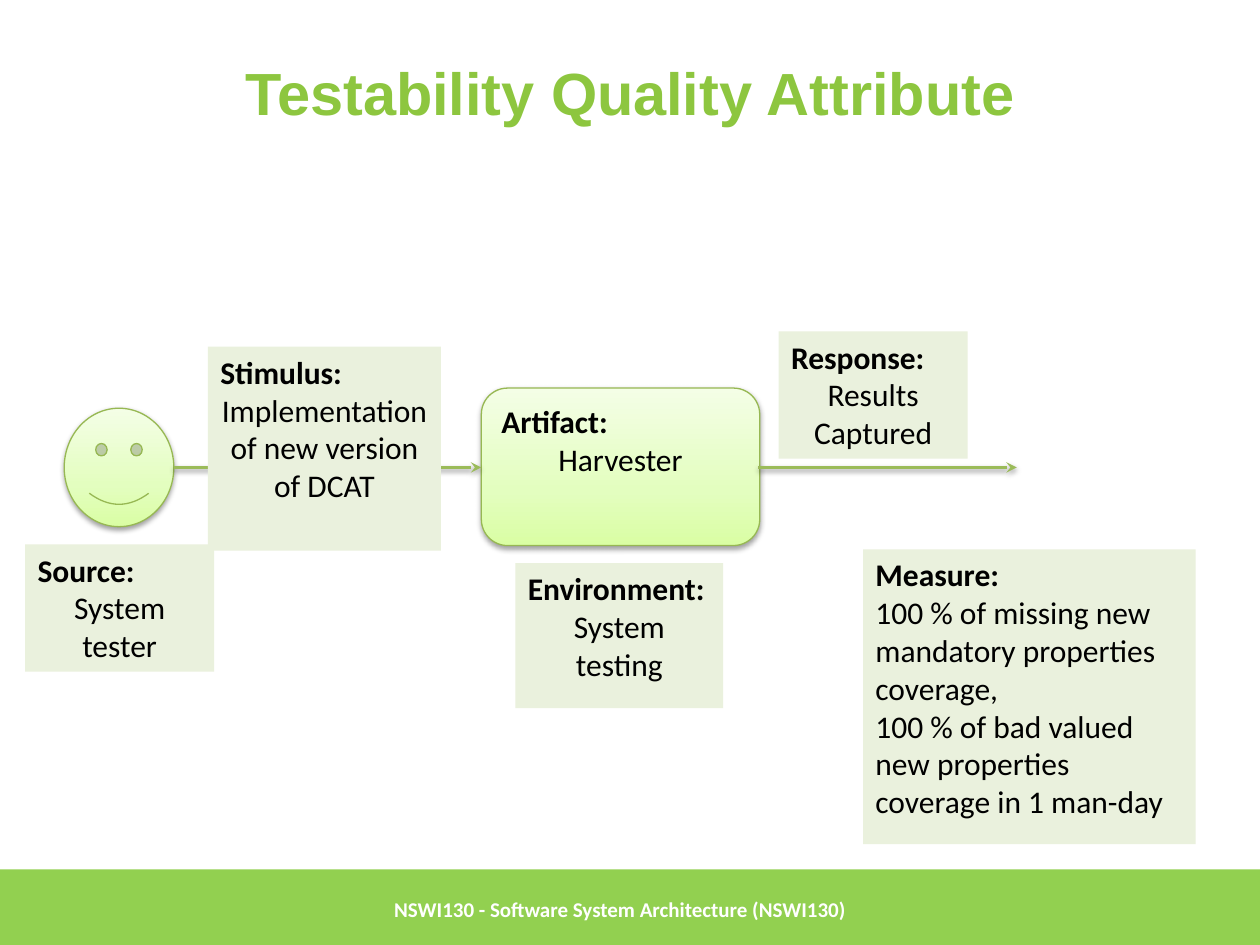
from lxml import etree
from pptx import Presentation
from pptx import util as u
from pptx.dml.color import RGBColor
from pptx.enum import shapes, text
from pptx.oxml.ns import qn

WIDTH, HEIGHT = 10, 7.5
FLOW_Y = 3.71  # shared centre line of tester, artifact and arrows
BAR_TOP, BAR_HEIGHT = 6.9, 0.63
GREEN, PALE, EDGE, ARROW = "92D050", "EAF1DD", "97B853", "9BBB59"
GLOW = [(0, "DAFEA4"), (35, "E3FEBF"), (100, "F4FEE6")]


def color(value):
    return RGBColor.from_string(value)


def inches(*lengths):
    return [u.Inches(length) for length in lengths]


def add_node(parent, tag, **attributes):
    node = etree.SubElement(parent, qn(tag))
    for name, value in attributes.items():
        node.set(name, str(value))
    return node


def add_color(parent, value):
    return add_node(parent, "a:srgbClr", val=value)


def add_shadow(part):
    """Soft shadow straight below a shape or an arrow."""
    properties = part.element.spPr
    effects = properties.find(qn("a:effectLst"))
    if effects is None:
        effects = add_node(properties, "a:effectLst")
    shadow = add_node(effects, "a:outerShdw", blurRad=u.Pt(3.1), dist=u.Pt(1.6),
                      dir=90 * 60000, rotWithShape=0)
    add_node(add_color(shadow, "000000"), "a:alpha", val=37000)


def add_block(slide, box, fill=None, preset=shapes.MSO_SHAPE.RECTANGLE):
    block = slide.shapes.add_shape(preset, *inches(*box))
    block.shadow.inherit = False
    block.line.fill.background()
    if fill:
        block.fill.solid()
        block.fill.fore_color.rgb = color(fill)
    return block


def add_glowing(slide, box, preset):
    """Outlined shape with a gradient that lightens upwards."""
    block = add_block(slide, box, preset=preset)
    block.fill.gradient()
    block.fill.gradient_angle = 90
    stops = block.element.spPr.find(".//" + qn("a:gsLst"))
    stops.clear()
    for share, value in GLOW:
        add_color(add_node(stops, "a:gs", pos=share * 1000), value)
    block.line.color.rgb = color(EDGE)
    block.line.width = u.Pt(0.75)
    add_shadow(block)
    return block


def write_label(block, heading, *details, align=text.PP_ALIGN.CENTER):
    """Bold heading at the left, details below it."""
    frame = block.text_frame
    frame.word_wrap = True
    frame.vertical_anchor = text.MSO_ANCHOR.TOP
    for index, words in enumerate((heading, *details)):
        line = frame.add_paragraph() if index else frame.paragraphs[0]
        line.text = words
        line.alignment = align if index else text.PP_ALIGN.LEFT
        line.font.name = "Calibri"
        line.font.size = u.Pt(18)
        line.font.bold = index == 0
        line.font.color.rgb = color("000000")


def add_note(slide, box, *words, **options):
    write_label(add_block(slide, box, PALE), *words, **options)


def add_arrow(slide, start, end):
    arrow = slide.shapes.add_connector(
        shapes.MSO_CONNECTOR.STRAIGHT, *inches(start, FLOW_Y, end, FLOW_Y))
    arrow.line.color.rgb = color(ARROW)
    arrow.line.width = u.Pt(2)
    add_node(arrow.element.spPr.find(qn("a:ln")), "a:tailEnd", type="stealth")
    add_shadow(arrow)


def add_title(slide, words):
    title = slide.shapes.title
    title.left, title.top, title.width, title.height = inches(0.5, 0.3, 9, 0.85)
    title.text_frame.text = words
    title.text_frame.vertical_anchor = text.MSO_ANCHOR.MIDDLE
    line = title.text_frame.paragraphs[0]
    line.alignment = text.PP_ALIGN.CENTER
    line.font.name = "Arial"
    line.font.size = u.Pt(34)
    line.font.bold = True
    line.font.color.rgb = color("8DC63F")


def add_footer(slide, words):
    add_block(slide, (0, BAR_TOP, WIDTH, BAR_HEIGHT), GREEN)
    course = slide.shapes.add_textbox(*inches(3.03, BAR_TOP, 6.02, BAR_HEIGHT))
    course.text_frame.word_wrap = True
    course.text_frame.vertical_anchor = text.MSO_ANCHOR.MIDDLE
    line = course.text_frame.paragraphs[0]
    line.text = words
    line.font.name = "Calibri"
    line.font.size = u.Pt(12)
    line.font.bold = True
    line.font.color.rgb = color("FFFFFF")


def main():
    deck = Presentation()
    deck.slide_width, deck.slide_height = inches(WIDTH, HEIGHT)
    slide = deck.slides.add_slide(deck.slide_layouts[5])
    add_title(slide, "Testability Quality Attribute")
    add_footer(slide, "NSWI130 - Software System Architecture (NSWI130)")

    # Tester, artifact and the flow between them
    add_glowing(slide, (0.51, FLOW_Y - 0.47, 0.87, 0.94),
                shapes.MSO_SHAPE.SMILEY_FACE)
    add_note(slide, (0.2, 4.32, 1.5, 1.01), "Source:", "System tester")
    artifact = add_glowing(slide, (3.82, 3.08, 2.21, 1.25),
                           shapes.MSO_SHAPE.ROUNDED_RECTANGLE)
    write_label(artifact, "Artifact:", "Harvester")
    add_arrow(slide, 1.38, 3.82)
    add_note(slide, (1.65, 2.75, 1.85, 1.62), "Stimulus:",
             "Implementation of new version of DCAT")
    add_arrow(slide, 6.02, 8.07)

    # Conditions and outcome
    add_note(slide, (4.09, 4.47, 1.65, 1.15), "Environment:", "System testing")
    add_note(slide, (6.18, 2.63, 1.5, 1.01), "Response:", "Results Captured")
    add_note(slide, (6.85, 4.36, 2.64, 2.34), "Measure:",
             "100 % of missing new mandatory properties coverage,",
             "100 % of bad valued new properties coverage in 1 man-day",
             align=text.PP_ALIGN.LEFT)

    deck.save("out.pptx")


if __name__ == "__main__":
    main()
